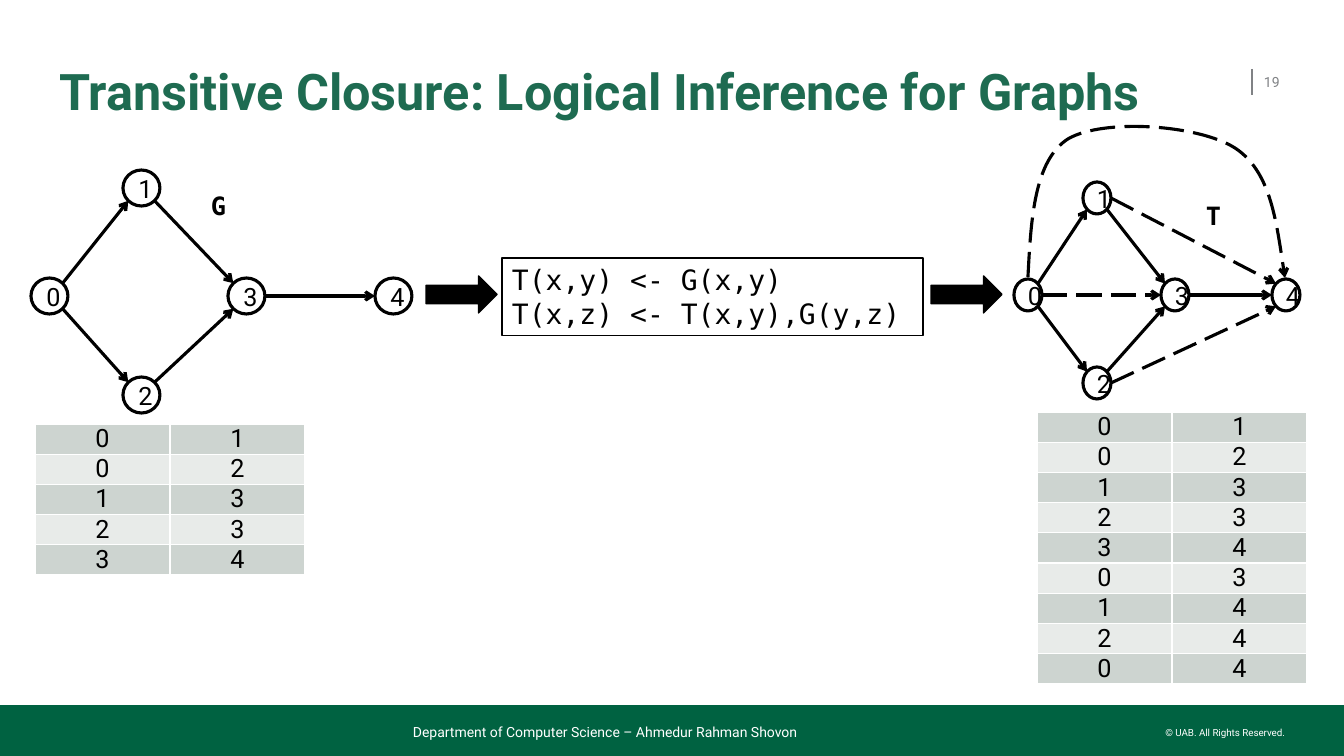
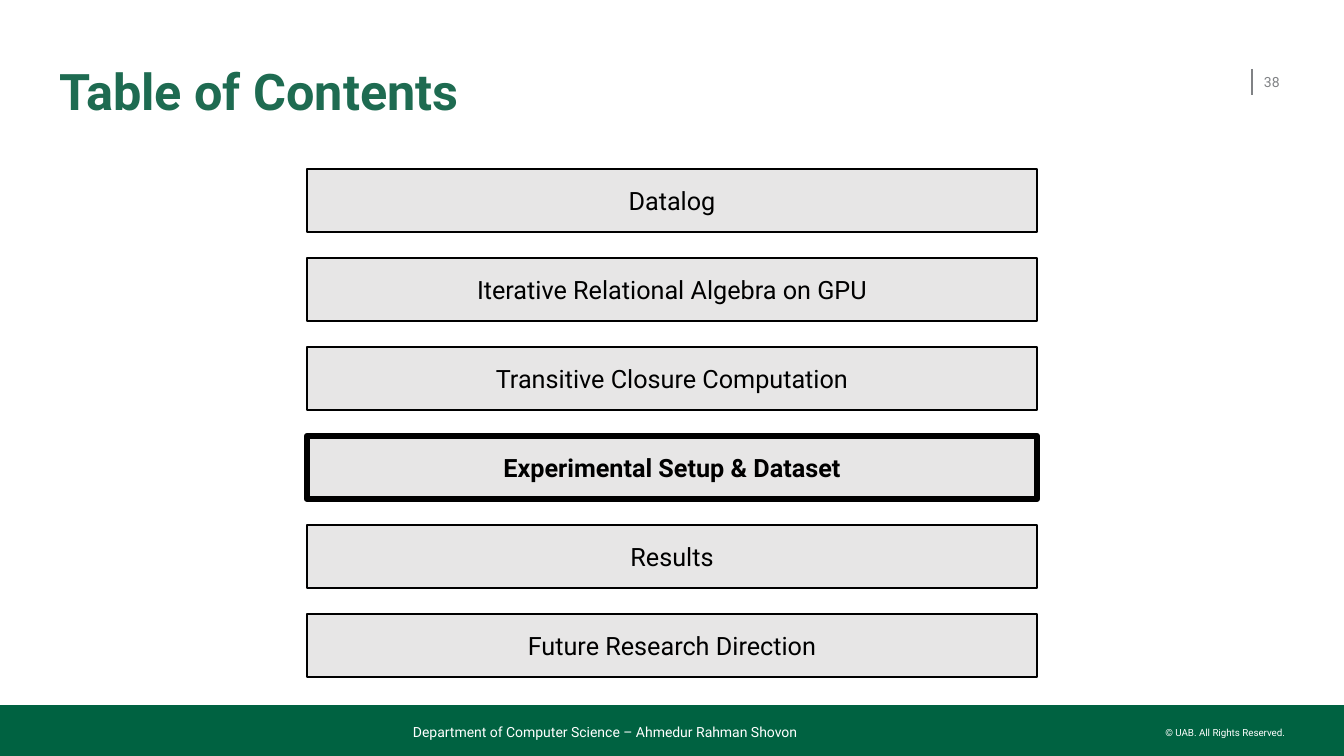
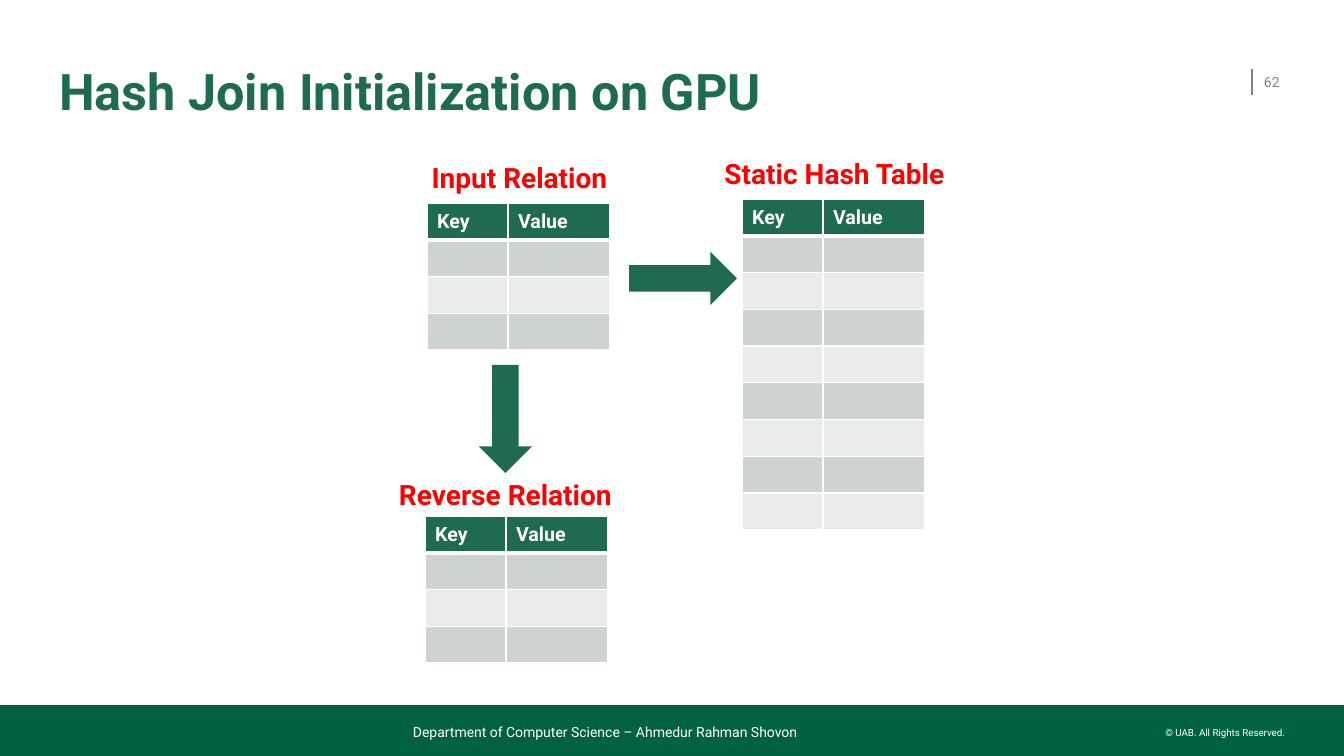
from dataclasses import dataclass

from lxml.etree import SubElement
from pptx import Presentation
from pptx.dml.color import RGBColor
from pptx.enum.dml import MSO_LINE as Dash
from pptx.enum.shapes import MSO_CONNECTOR as Connector, MSO_SHAPE as Preset
from pptx.enum.text import MSO_ANCHOR as Anchor, MSO_AUTO_SIZE as AutoSize, PP_ALIGN as Align
from pptx.oxml.ns import qn
from pptx.util import Emu, Pt

PAGE_WIDTH, PAGE_HEIGHT = 1344, 756
EMU_PER_PX = 12192000 / PAGE_WIDTH


@dataclass(frozen=True)
class Style:
    size: int
    color: str
    bold: bool = False
    font: str = "Roboto"


@dataclass(frozen=True)
class Theme:
    black: str = "000000"
    white: str = "FFFFFF"
    green: str = "1E6B51"
    footer_green: str = "006241"
    gray: str = "808285"
    panel: str = "E7E6E6"
    bands: tuple = ("CDD4D0", "E8EBE9")
    title: Style = Style(36, "1E6B51", bold=True)
    body: Style = Style(18, "000000")
    strong: Style = Style(18, "000000", bold=True)
    code: Style = Style(20, "000000", font="DejaVu Sans Mono")
    graph_name: Style = Style(18, "000000", bold=True, font="DejaVu Sans Mono")
    caption: Style = Style(20, "FF0000", bold=True)
    table_head: Style = Style(14, "FFFFFF", bold=True)
    page_number: Style = Style(10, "808285")
    footer: Style = Style(10, "FFFFFF")
    copyright: Style = Style(7, "FFFFFF")
    thin: float = 0.75
    normal: float = 1
    graph_line: float = 2.25
    thick: float = 4.5


THEME = Theme()

# Directions from a node's centre to points on its rim, in radii
RIGHT, LEFT = (1, 0), (-1, 0)
UPPER_RIGHT, LOWER_RIGHT = (0.71, -0.71), (0.71, 0.71)
UPPER_LEFT, LOWER_LEFT = (-0.71, -0.71), (-0.71, 0.71)

GRAPH_EDGES = [
    (0, UPPER_RIGHT, 1, LOWER_LEFT),
    (0, LOWER_RIGHT, 2, UPPER_LEFT),
    (1, LOWER_RIGHT, 3, UPPER_LEFT),
    (2, UPPER_RIGHT, 3, LOWER_LEFT),
    (3, RIGHT, 4, LEFT),
]
INFERRED_EDGES = [
    (0, RIGHT, 3, LEFT),
    (1, RIGHT, 4, UPPER_LEFT),
    (2, RIGHT, 4, LOWER_LEFT),
]
LONGEST_EDGE = [
    (1028, 277), (1031, 220), (1034, 161), (1068, 139), (1104, 118),
    (1199, 125), (1235, 148), (1270, 171), (1277, 225), (1285, 278),
]
GRAPH_PAIRS = [(0, 1), (0, 2), (1, 3), (2, 3), (3, 4)]
INFERRED_PAIRS = [(0, 3), (1, 4), (2, 4), (0, 4)]

TOPICS = [
    "Datalog",
    "Iterative Relational Algebra on GPU",
    "Transitive Closure Computation",
    "Experimental Setup & Dataset",
    "Results",
    "Future Research Direction",
]
CURRENT_TOPIC = "Experimental Setup & Dataset"


def px(length):
    return Emu(round(length * EMU_PER_PX))


def rgb(color):
    return RGBColor.from_string(color)


def write(frame, text, style, align=Align.LEFT, anchor=Anchor.TOP, wrap=True, inset=True):
    frame.text = text
    frame.word_wrap = wrap
    frame.vertical_anchor = anchor
    frame.auto_size = AutoSize.NONE
    if not inset:
        frame.margin_left = frame.margin_right = frame.margin_top = frame.margin_bottom = 0
    format_text(frame, style, align)


def format_text(frame, style, align):
    for para in frame.paragraphs:
        para.alignment = align
        for span in para.runs:
            span.font.name = style.font
            span.font.size = Pt(style.size)
            span.font.bold = style.bold
            span.font.color.rgb = rgb(style.color)


def add_label(page, area, text, style, **layout):
    box = page.shapes.add_textbox(*map(px, area))
    write(box.text_frame, text, style, **layout)
    return box


def set_line(shape, color, width, dash=None):
    shape.line.color.rgb = rgb(color)
    shape.line.width = Pt(width)
    if dash:
        shape.line.dash_style = dash


def add_block(page, preset, area, fill=None, line=None, width=THEME.normal):
    block = page.shapes.add_shape(preset, *map(px, area))
    block.shadow.inherit = False
    if fill:
        block.fill.solid()
        block.fill.fore_color.rgb = rgb(fill)
    else:
        block.fill.background()
    if line:
        set_line(block, line, width)
    else:
        block.line.fill.background()
    return block


def add_line(page, start, end, color, width, dash=None):
    line = page.shapes.add_connector(Connector.STRAIGHT, *map(px, (*start, *end)))
    set_line(line, color, width, dash)
    SubElement(line.element.spPr, qn("a:effectLst"))
    return line


def add_arrowhead(line):
    SubElement(line.element.find(".//" + qn("a:ln")), qn("a:tailEnd"), type="arrow")


def add_curved_arrow(page, points):
    """Draw a dashed arrow through a start point and triples of Bezier points."""
    builder = page.shapes.build_freeform(*points[0], scale=EMU_PER_PX)
    builder.add_line_segments(points[1:], close=False)
    curve = builder.convert_to_shape()
    outline = curve.element.find(".//" + qn("a:path"))
    segments = outline.findall(qn("a:lnTo"))
    for first in range(0, len(segments), 3):
        bezier = SubElement(outline, qn("a:cubicBezTo"))
        for segment in segments[first:first + 3]:
            bezier.append(segment[0])
            outline.remove(segment)
    curve.shadow.inherit = False
    curve.fill.background()
    set_line(curve, THEME.black, THEME.graph_line, Dash.LONG_DASH)
    add_arrowhead(curve)


def add_graph(page, columns, rows, node_size, inferred=()):
    """Draw the five-node graph; columns and rows give the nodes' left and top edges."""
    width, height = node_size
    upper, middle, lower = rows
    first, second, third, fourth = columns
    corners = [(first, middle), (second, upper), (second, lower), (third, middle), (fourth, middle)]
    for number, corner in enumerate(corners):
        node = add_block(page, Preset.OVAL, (*corner, width, height),
                         line=THEME.black, width=THEME.graph_line)
        write(node.text_frame, str(number), THEME.body, Align.CENTER, Anchor.MIDDLE)

    def rim(number, direction):
        left, top = corners[number]
        return left + width / 2 * (1 + direction[0]), top + height / 2 * (1 + direction[1])

    for edges, dash in ((GRAPH_EDGES, None), (inferred, Dash.LONG_DASH)):
        for source, leave, target, arrive in edges:
            edge = add_line(page, rim(source, leave), rim(target, arrive),
                            THEME.black, THEME.graph_line, dash)
            add_arrowhead(edge)


def set_borders(cell, top=1, bottom=1):
    properties = cell._tc.get_or_add_tcPr()
    for side, width in (("L", 1), ("R", 1), ("T", top), ("B", bottom)):
        border = SubElement(properties, qn("a:ln" + side), w=str(Pt(width)))
        fill = SubElement(border, qn("a:solidFill"))
        SubElement(fill, qn("a:srgbClr"), val=THEME.white)


def add_grid(page, left, top, height, widths, rows, align, header=False):
    """Add a banded table whose rows share the height equally."""
    area = (left, top, sum(widths), height)
    table = page.shapes.add_table(len(rows), len(widths), *map(px, area)).table
    table.first_row = header
    table.horz_banding = False
    for column, width in zip(table.columns, widths):
        column.width = px(width)
    for index, values in enumerate(rows):
        table.rows[index].height = px(height / len(rows))
        is_head = header and index == 0
        fill = THEME.green if is_head else THEME.bands[(index - header) % 2]
        style = THEME.table_head if is_head else THEME.body
        for cell, value in zip(table.rows[index].cells, values):
            set_borders(cell, top=3 if header and index == 1 else 1, bottom=3 if is_head else 1)
            cell.fill.solid()
            cell.fill.fore_color.rgb = rgb(fill)
            cell.margin_top = cell.margin_bottom = 0
            cell.vertical_anchor = Anchor.MIDDLE
            cell.text = str(value)
            format_text(cell.text_frame, style, align)


def add_page(deck, layout, title, number):
    page = deck.slides.add_slide(layout)
    heading = page.shapes.title
    heading.left, heading.top, heading.width, heading.height = map(px, (59, 52, 1172, 85))
    write(heading.text_frame, title, THEME.title, anchor=Anchor.MIDDLE, inset=False)
    heading.text_frame.paragraphs[0].line_spacing = 0.9
    label = add_label(page, (1264, 62, 33, 40), str(number), THEME.page_number, anchor=Anchor.MIDDLE)
    label.text_frame.margin_left = label.text_frame.margin_right = 0
    return page


def furnish_layout(layout, page):
    """Build the shared rule and footer on a page, then move them to its layout."""
    for placeholder in list(layout.placeholders)[1:]:
        placeholder.element.getparent().remove(placeholder.element)
    shared = [
        add_line(page, (1252, 69), (1252, 95), THEME.gray, THEME.normal),
        add_block(page, Preset.RECTANGLE, (0, 705, PAGE_WIDTH, 51), THEME.footer_green),
        add_label(page, (1164, 727, 121, 12), "© UAB. All Rights Reserved.", THEME.copyright,
                  align=Align.RIGHT, wrap=False, inset=False),
        add_label(page, (413, 717, 714, 23), "Department of Computer Science – Ahmedur Rahman Shovon",
                  THEME.footer, anchor=Anchor.BOTTOM, inset=False),
    ]
    for shape in shared:
        layout.shapes.element.append(shape.element)


def fill_closure_page(page):
    rules = add_block(page, Preset.RECTANGLE, (502, 258, 421, 78), line=THEME.black, width=THEME.thin)
    write(rules.text_frame, "T(x,y) <- G(x,y)\nT(x,z) <- T(x,y),G(y,z)", THEME.code)
    add_graph(page, (31, 123, 228, 375), (170, 278, 377), (37, 36))
    add_label(page, (201, 185, 40, 40), "G", THEME.graph_name, wrap=False)
    add_graph(page, (1014, 1083, 1161, 1272), (182, 279, 367), (28, 32), INFERRED_EDGES)
    add_curved_arrow(page, LONGEST_EDGE)
    add_label(page, (1196, 195, 36, 40), "T", THEME.graph_name, wrap=False)
    for left in (426, 931):
        add_block(page, Preset.RIGHT_ARROW, (left, 276, 71, 37), THEME.black, THEME.black)
    add_grid(page, 1037, 412, 272, (135, 135), GRAPH_PAIRS + INFERRED_PAIRS, Align.CENTER)
    add_grid(page, 35, 424, 151, (135, 135), GRAPH_PAIRS, Align.CENTER)


def fill_contents_page(page):
    for index, topic in enumerate(TOPICS):
        current = topic == CURRENT_TOPIC
        panel = add_block(page, Preset.RECTANGLE, (307, 169 + 89 * index, 730, 63), THEME.panel,
                          THEME.black, THEME.thick if current else THEME.normal)
        write(panel.text_frame, topic, THEME.strong if current else THEME.body,
              Align.CENTER, Anchor.MIDDLE)


def fill_hash_join_page(page):
    relations = [
        ("Input Relation", (388, 156, 263, 44), 427, 203, 147, 3),
        ("Reverse Relation", (361, 473, 289, 44), 425, 516, 147, 3),
        ("Static Hash Table", (703, 152, 263, 44), 742, 199, 331, 8),
    ]
    for name, caption_area, left, top, height, empty_rows in relations:
        rows = [("Key", "Value")] + [("", "")] * empty_rows
        add_grid(page, left, top, height, (81, 102), rows, Align.LEFT, header=True)
        add_label(page, caption_area, name, THEME.caption, align=Align.CENTER)
    add_block(page, Preset.RIGHT_ARROW, (629, 252, 108, 53), THEME.green)
    add_block(page, Preset.DOWN_ARROW, (479, 365, 53, 108), THEME.green)


def main():
    deck = Presentation()
    deck.slide_width, deck.slide_height = px(PAGE_WIDTH), px(PAGE_HEIGHT)
    layout = deck.slide_layouts.get_by_name("Title Only")

    closure = add_page(deck, layout, "Transitive Closure: Logical Inference for Graphs", 19)
    furnish_layout(layout, closure)
    fill_closure_page(closure)
    fill_contents_page(add_page(deck, layout, "Table of Contents", 38))
    fill_hash_join_page(add_page(deck, layout, "Hash Join Initialization on GPU", 62))
    deck.save("out.pptx")


if __name__ == "__main__":
    main()
